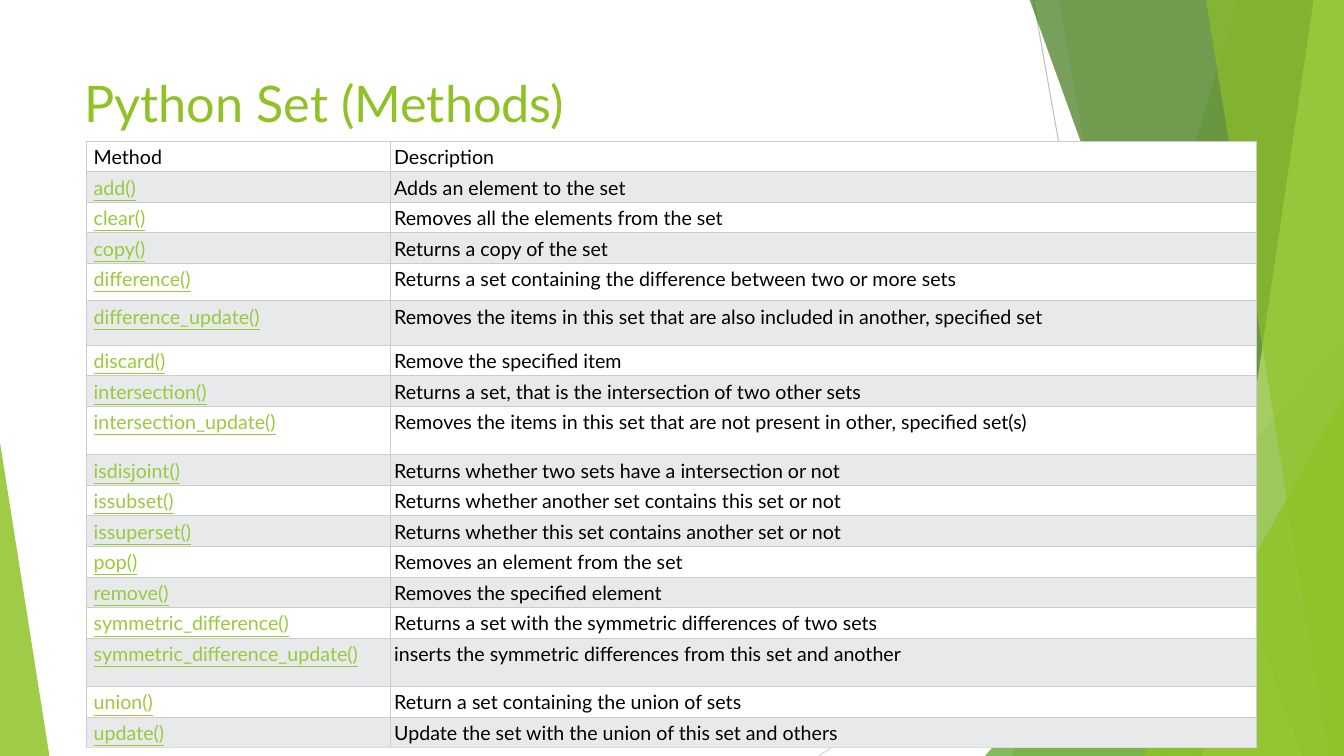
"""Build the slide that lists the methods of a Python set."""
from dataclasses import dataclass

import lxml.etree
import pptx
import pptx.dml.color
import pptx.enum.shapes
import pptx.enum.text
import pptx.oxml
import pptx.oxml.ns
import pptx.util

Inches = pptx.util.Inches
Pt = pptx.util.Pt
qn = pptx.oxml.ns.qn

FONT = "Lato"
GREEN, LINK, BLACK = "90C226", "99CA3C", "000000"
WHITE, BAND, BORDER, LAST_BORDER = "FFFFFF", "E7E9EB", "CCCCCC", "DDDDDD"
TOP, BOTTOM, RIGHT = -0.01, 7.5, 13.33
ROW_HEIGHT = 0.29


@dataclass(frozen=True)
class Ray:
    start: tuple[float, float]
    end: tuple[float, float]
    color: str


@dataclass(frozen=True)
class Facet:
    """A panel reaching the right edge, given by its left corners."""
    top_left: float
    bottom_left: float
    color: str
    opacity: int


@dataclass(frozen=True)
class Wedge:
    left: float
    top: float
    width: float
    apex: float
    color: str
    opacity: int


@dataclass(frozen=True)
class Method:
    name: str
    description: str
    height: float = ROW_HEIGHT


DECORATIONS = (
    Ray((10.25, 0), (11.58, 7.5), "BFBFBF"),
    Ray((13.33, 4.03), (8.12, 7.5), "D9D9D9"),
    Facet(12.28, 10.04, GREEN, 30),
    Facet(10.5, 11.83, GREEN, 20),
    Wedge(9.77, 3.33, 3.56, 1, "54A021", 72),
    Facet(10.21, 12.91, "3F7819", 70),
    Facet(13.03, 11.92, "C0E474", 70),
    Facet(11.96, 13.18, GREEN, 65),
    Wedge(11.34, 3.93, 1.99, 1, GREEN, 80),
    Wedge(0, 4.39, 0.49, 0, GREEN, 85),
)

METHODS = (
    Method("Method", "Description"),
    Method("add()", "Adds an element to the set"),
    Method("clear()", "Removes all the elements from the set"),
    Method("copy()", "Returns a copy of the set"),
    Method("difference()", "Returns a set containing the difference between two or more sets", 0.37),
    Method("difference_update()",
           "Removes the items in this set that are also included in another, specified set", 0.44),
    Method("discard()", "Remove the specified item"),
    Method("intersection()", "Returns a set, that is the intersection of two other sets"),
    Method("intersection_update()",
           "Removes the items in this set that are not present in other, specified set(s)", 0.48),
    Method("isdisjoint()", "Returns whether two sets have a intersection or not"),
    Method("issubset()", "Returns whether another set contains this set or not"),
    Method("issuperset()", "Returns whether this set contains another set or not"),
    Method("pop()", "Removes an element from the set"),
    Method("remove()", "Removes the specified element"),
    Method("symmetric_difference()", "Returns a set with the symmetric differences of two sets"),
    Method("symmetric_difference_update()",
           "inserts the symmetric differences from this set and another", 0.48),
    Method("union()", "Return a set containing the union of sets"),
    Method("update()", "Update the set with the union of this set and others"),
)


def rgb(color: str) -> pptx.dml.color.RGBColor:
    """Turn a hex string into a colour."""
    return pptx.dml.color.RGBColor.from_string(color)


def set_all(target, values: dict) -> None:
    """Set every attribute in a dict of format values."""
    for name, value in values.items():
        setattr(target, name, value)


def paint(shape, color: str, opacity: int) -> None:
    """Give a shape a translucent fill without line or shadow."""
    shape.shadow.inherit = False
    shape.line.fill.background()
    shape.fill.solid()
    shape.fill.fore_color.rgb = rgb(color)
    tone = shape.fill._xPr.find(qn("a:solidFill"))[0]
    lxml.etree.SubElement(tone, qn("a:alpha"), val=str(opacity * 1000))


def draw_ray(page, ray: Ray) -> None:
    """Draw a thin straight line."""
    points = [Inches(value) for value in ray.start + ray.end]
    line = page.shapes.add_connector(pptx.enum.shapes.MSO_CONNECTOR.STRAIGHT, *points)
    line.line.width = Pt(0.75)
    line.line.color.rgb = rgb(ray.color)
    lxml.etree.SubElement(line._element.spPr, qn("a:effectLst"))


def draw_facet(page, facet: Facet) -> None:
    """Draw a four-cornered panel along the right edge."""
    corners = ((RIGHT, TOP), (RIGHT, BOTTOM), (facet.bottom_left, BOTTOM))
    builder = page.shapes.build_freeform(Inches(facet.top_left), Inches(TOP))
    builder.add_line_segments([(Inches(x), Inches(y)) for x, y in corners], close=True)
    paint(builder.convert_to_shape(), facet.color, facet.opacity)


def draw_wedge(page, wedge: Wedge) -> None:
    """Draw a triangle standing on the bottom edge."""
    bounds = (wedge.left, wedge.top, wedge.width, BOTTOM - wedge.top)
    shape = page.shapes.add_shape(
        pptx.enum.shapes.MSO_SHAPE.ISOSCELES_TRIANGLE, *map(Inches, bounds))
    shape.adjustments[0] = wedge.apex
    paint(shape, wedge.color, wedge.opacity)


def write(para, text: str, size: float, color: str, underline: bool = False) -> None:
    """Write one formatted span into a paragraph."""
    span = para.add_run()
    span.text = text
    set_all(span.font, {"name": FONT, "size": Pt(size), "bold": False, "underline": underline})
    span.font.color.rgb = rgb(color)


def add_borders(cell, bottom_color: str) -> None:
    """Draw the four borders of a cell."""
    properties = cell._tc.get_or_add_tcPr()
    colors = {"lnL": BORDER, "lnR": BORDER, "lnT": BORDER, "lnB": bottom_color}
    for index, (side, color) in enumerate(colors.items()):
        border = pptx.oxml.parse_xml(
            f'<a:{side} {pptx.oxml.ns.nsdecls("a")} w="{Pt(0.75)}">'
            f'<a:solidFill><a:srgbClr val="{color}"/></a:solidFill></a:{side}>')
        properties.insert(index, border)


def draw_table(page, methods: tuple[Method, ...]) -> None:
    """Draw the banded table of methods."""
    height = sum(method.height for method in methods)
    table = page.shapes.add_table(
        len(methods), 2, *map(Inches, (0.86, 1.4, 11.6, height))).table
    set_all(table, {"first_row": False, "horz_banding": False})
    for column, width in zip(table.columns, (3.01, 8.59)):
        column.width = Inches(width)
    for row, method in enumerate(methods):
        table.rows[row].height = Inches(method.height)
        bottom_color = LAST_BORDER if row == len(methods) - 1 else BORDER
        for column, text in enumerate((method.name, method.description)):
            cell = table.cell(row, column)
            set_all(cell, {"margin_left": Inches(0.04 if column else 0.07),
                           "margin_right": Inches(0.04),
                           "margin_top": Inches(0.04), "margin_bottom": Inches(0.03)})
            cell.fill.solid()
            cell.fill.fore_color.rgb = rgb(BAND if row % 2 else WHITE)
            add_borders(cell, bottom_color)
            linked = row > 0 and column == 0
            write(cell.text_frame.paragraphs[0], text, 14, LINK if linked else BLACK, linked)


def main() -> None:
    """Build and save the deck."""
    deck = pptx.Presentation()
    set_all(deck, {"slide_width": Inches(RIGHT), "slide_height": Inches(BOTTOM)})
    page = deck.slides.add_slide(deck.slide_layouts[6])
    painters = {Ray: draw_ray, Facet: draw_facet, Wedge: draw_wedge}
    for decoration in DECORATIONS:
        painters[type(decoration)](page, decoration)
    box = page.shapes.add_textbox(*map(Inches, (0.74, 0.67, 9.4, 1.44)))
    set_all(box.text_frame, {"word_wrap": True,
                             "vertical_anchor": pptx.enum.text.MSO_ANCHOR.TOP})
    write(box.text_frame.paragraphs[0], "Python Set (Methods)", 36, GREEN)
    draw_table(page, METHODS)
    deck.save("out.pptx")


if __name__ == "__main__":
    main()
